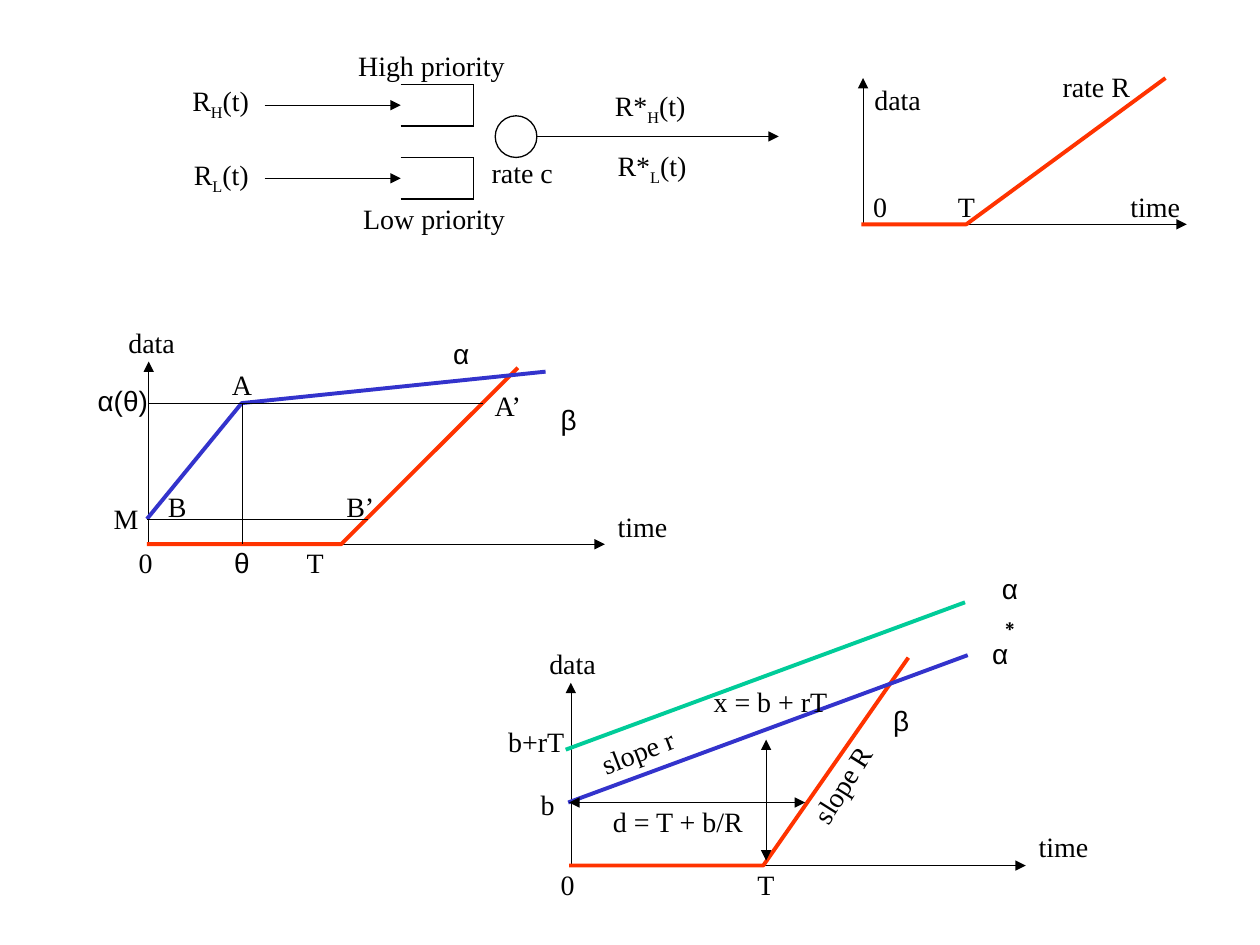
from pptx import Presentation
from pptx.dml.color import RGBColor
from pptx.enum.shapes import MSO_CONNECTOR, MSO_SHAPE
from pptx.enum.text import MSO_ANCHOR, MSO_AUTO_SIZE, PP_ALIGN
from pptx.oxml.ns import qn
from pptx.util import Pt
from lxml.etree import SubElement

BLACK = RGBColor(0, 0, 0)
RED = RGBColor(0xFF, 0x33, 0x00)
BLUE = RGBColor(0x33, 0x33, 0xCC)
GREEN = RGBColor(0x00, 0xCC, 0x99)

SERIF, SANS = "Times New Roman", "Arial"
HAIR, THIN, THICK = 0.25, 0.75, 2.25
LABEL_H = 26.6
FRAME = {"auto_size": MSO_AUTO_SIZE.SHAPE_TO_FIT_TEXT, "vertical_anchor": MSO_ANCHOR.MIDDLE}


def set_all(target, values):
    for name, value in values.items():
        setattr(target, name, value)


def set_line(sp, color, width):
    sp.line.color.rgb = color
    sp.line.width = Pt(width)


def label(grp, box, text, x, y, w, font=SERIF, rotation=0, wrap=False):
    sp = grp.shapes.add_textbox(Pt(box[0] + x), Pt(box[1] + y), Pt(w), Pt(LABEL_H))
    sp.rotation = rotation
    tf = sp.text_frame
    set_all(tf, {**FRAME, "word_wrap": wrap})
    p = tf.paragraphs[0]
    p.alignment = PP_ALIGN.CENTER
    for i, part in enumerate(text.split("|")):
        r = p.add_run()
        r.text = part
        set_all(r.font, {"name": font, "size": Pt(16)})
        r.font.color.rgb = BLACK
        if i % 2:
            r._r.get_or_add_rPr().set("baseline", "-25000")


def line(grp, box, x1, y1, x2, y2, width=HAIR, ends=()):
    cx = grp.shapes.add_connector(
        MSO_CONNECTOR.STRAIGHT,
        Pt(box[0] + x1), Pt(box[1] + y1), Pt(box[0] + x2), Pt(box[1] + y2))
    set_line(cx, BLACK, width)
    ln = cx.line._get_or_add_ln()
    for end in ends:
        SubElement(ln, qn(f"a:{end}"), type="triangle")
    SubElement(cx._element.spPr, qn("a:effectLst"))


def curve(grp, box, points, color):
    pts = [(Pt(box[0] + x), Pt(box[1] + y)) for x, y in points]
    fb = grp.shapes.build_freeform(*pts[0])
    fb.add_line_segments(pts[1:], close=False)
    sp = fb.convert_to_shape()
    sp.shadow.inherit = False
    sp.fill.background()
    set_line(sp, color, THICK)


def axes(grp, box):
    w, h = box[2:]
    line(grp, box, 0, h, w, h, ends=["tailEnd"])
    line(grp, box, 0, h, 0, 0, ends=["tailEnd"])


def service_curve(grp, box, delay, end):
    h = box[3]
    curve(grp, box, [(-1, h), (delay, h), end], RED)


def rate_latency_graph(s, box):
    grp = s.shapes.add_group_shape()
    axes(grp, box)
    service_curve(grp, box, 59, (172.8, 0))
    for args in [
        ("T", 46.8, 59.8, 24.5),
        ("time", 145.4, 59.8, 43.2),
        ("data", -0.7, -1.4, 41),
        ("0", -1.4, 59.8, 22.3),
        ("rate R", 106.6, -8.6, 53.3),
    ]:
        label(grp, box, *args)


def priority_queues(s, box):
    grp = s.shapes.add_group_shape()
    left, right, height = 127, 168.7, 23.8
    for top in (24.2, 66):
        bottom = top + height
        line(grp, box, left, bottom, right, bottom, THIN)
        line(grp, box, right, top, right, bottom, THIN)
        line(grp, box, left, top, right, top, THIN)
        mid = top + height / 2
        line(grp, box, 49.2, mid, left, mid, ends=["tailEnd"])

    server = grp.shapes.add_shape(
        MSO_SHAPE.OVAL, Pt(box[0] + 181), Pt(box[1] + 42.2), Pt(height), Pt(height))
    server.shadow.inherit = False
    server.fill.background()
    set_line(server, BLACK, THIN)
    line(grp, box, 204.7, 54, 343, 54, THIN, ["tailEnd"])

    for args in [
        ("R*|L|(t)", 242.9, 58.8, 55.4),
        ("R*|H|(t)", 241.4, 24.2, 56.2),
        ("High priority", 95.3, 0, 98.6),
        ("Low priority", 98.2, 87.6, 95.8),
        ("rate c", 171.6, 61, 49.7),
        ("R|H|(t)", 0, 21.4, 48.2),
        ("R|L|(t)", 1, 63.8, 46.8),
    ]:
        label(grp, box, *args)


def arrival_graph(s, box):
    grp = s.shapes.add_group_shape()
    knee_x, knee_y, burst_y = 53.2, 23.8, 90
    axes(grp, box)
    service_curve(grp, box, 110, (210.9, 3.6))
    curve(grp, box, [(-1, burst_y), (knee_x, knee_y), (226.8, 5.8)], BLUE)
    line(grp, box, knee_x, knee_y, knee_x, box[3])
    line(grp, box, 0, knee_y, 190.8, knee_y)
    line(grp, box, -1, burst_y, 125.2, burst_y)
    for args in [
        ("T", 82.8, 101.6, 24.5),
        ("time", 260.6, 80.7, 43.2),
        ("0", -13, 101.6, 22.3),
        ("β", 228.2, 19.5, 23, SANS),
        ("α", 166.3, -18, 24.5, SANS),
        ("θ", 41.7, 101.6, 23, SANS),
        ("α(θ)", -36.8, 8.7, 43.9, SANS),
        ("M", -27.4, 76.4, 28.8),
        ("A", 40.3, 0, 25.9),
        ("A’", 189.3, 11.6, 31.7),
        ("B", 3.6, 69.2, 25.2),
        ("B’", 105.8, 69.2, 30.2),
        ("data", -18.8, -24.4, 41),
    ]:
        label(grp, box, *args)


def bounds_graph(s, box):
    grp = s.shapes.add_group_shape()
    burst_y = 68.4
    both = ["headEnd", "tailEnd"]
    axes(grp, box)
    service_curve(grp, box, 110, (192.9, -14.4))
    curve(grp, box, [(-1.5, burst_y), (226.8, -15.8)], BLUE)
    curve(grp, box, [(-2.9, 38.2), (225.3, -46)], GREEN)
    line(grp, box, 111.6, 32.4, 111.6, 101.6, ends=both)
    line(grp, box, -1, burst_y, 133.9, burst_y, ends=both)
    for args in [
        ("b+rT", -43.2, 20.2, 46.8),
        ("T", 99.3, 101.6, 24.5),
        ("time", 259.9, 80, 43.2),
        ("0", -13, 101.6, 22.3),
        ("β", 177.1, 8, 23, SANS),
        ("α∗", 234.7, -57.6, 32.4, SANS, 0, True),
        ("α", 233.2, -30.2, 24.5, SANS),
        ("b", -24.5, 56.2, 22.3),
        ("data", -19.5, -24.4, 41),
        ("slope R", 123.1, 44.7, 63.4, SERIF, 302.1),
        ("slope r", 9.3, 26, 57.6, SERIF, 339),
        ("d = T + b/R", 16.5, 65.6, 89.3),
        ("x = b + rT", 74.1, -2.8, 79.9),
    ]:
        label(grp, box, *args)


def main():
    prs = Presentation()
    set_all(prs, {"slide_width": Pt(720), "slide_height": Pt(540)})
    s = prs.slides.add_slide(prs.slide_layouts[6])
    rate_latency_graph(s, (493.2, 44.6, 185, 83.6))
    priority_queues(s, (102, 24, 343, 114.2))
    arrival_graph(s, (85, 206.6, 260.6, 104.4))
    bounds_graph(s, (326.2, 390.2, 260, 104.4))
    prs.save("out.pptx")


if __name__ == "__main__":
    main()
